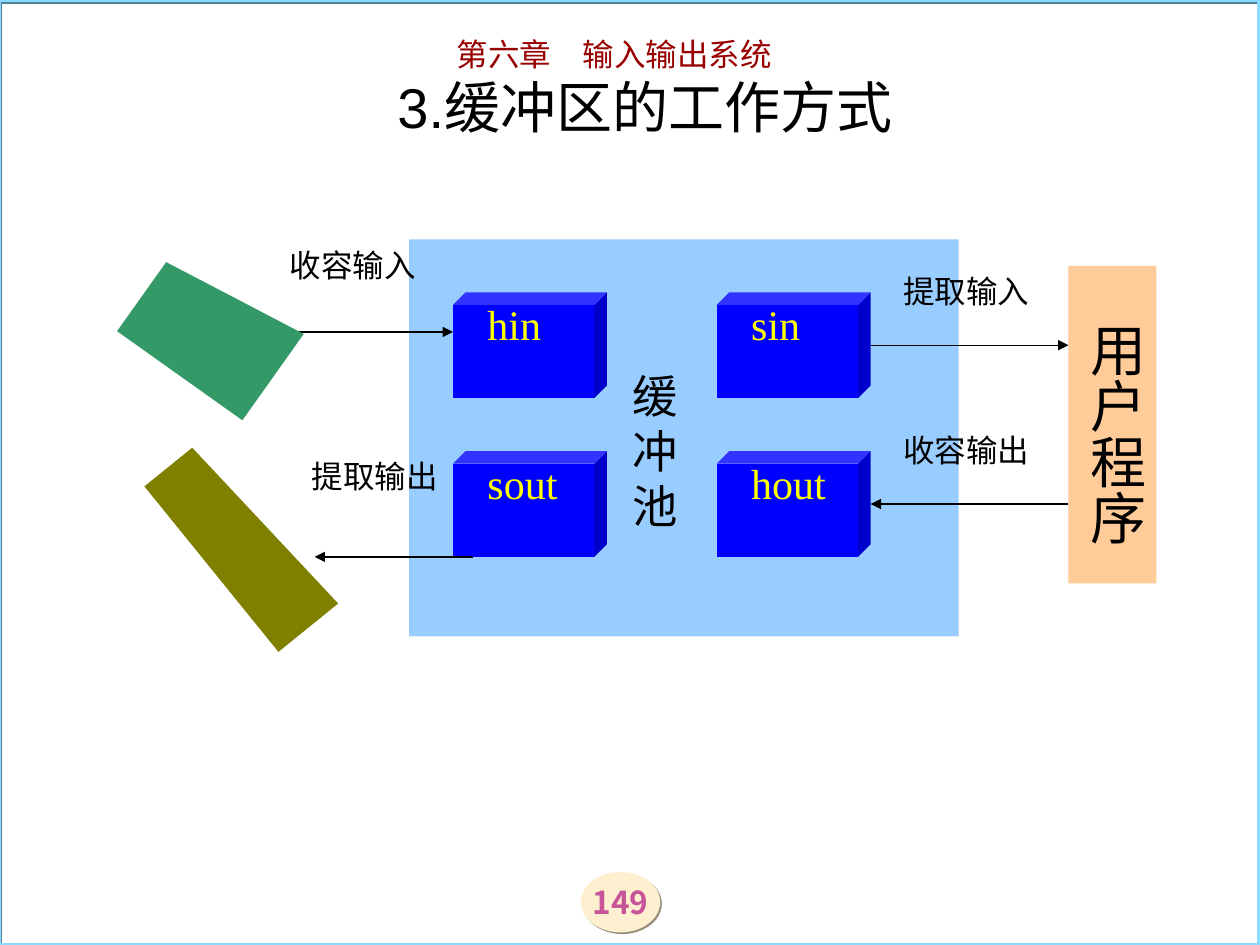
"""Build the slide on how the buffer pool passes input and output."""
from dataclasses import dataclass
from typing import Optional

from lxml.etree import SubElement
from pptx import Presentation
from pptx.dml.color import RGBColor
from pptx.enum.shapes import MSO_CONNECTOR, MSO_SHAPE
from pptx.enum.text import MSO_ANCHOR, PP_ALIGN
from pptx.oxml.ns import qn
from pptx.util import Inches, Pt

WIDTH, HEIGHT = 10, 7.5
LEFT, TOP = 2.2, 1.9
COLUMN, ROW = 6.28 / 36, 0.21
COLORS = {
    "black": "000000", "chapter": "990000", "pool": "99CCFF", "buffer": "0000FF",
    "buffer_name": "FFFF00", "program": "FFCC99", "input_device": "339966",
    "output_device": "808000", "frame": "8ADBFF", "frame_shadow": "538399",
    "badge": "FFEFD1", "badge_shadow": "998F7D", "page_number": "C75399",
}
CJK = "Noto Sans CJK SC"
SERIF = "Times New Roman"


@dataclass(frozen=True)
class Box:
    left: float
    top: float
    width: float
    height: float

    def lengths(self) -> list:
        return [Inches(n) for n in (self.left, self.top, self.width, self.height)]


@dataclass(frozen=True)
class Style:
    size: float
    color: str = "black"
    font: str = SERIF
    bold: bool = False
    align: PP_ALIGN = PP_ALIGN.JUSTIFY
    anchor: MSO_ANCHOR = MSO_ANCHOR.TOP
    insets: tuple = (0.1, 0.05, 0.1, 0.05)
    wrap: bool = True
    spacing: Optional[float] = None


@dataclass(frozen=True)
class Buffer:
    name: str
    column: float
    row: float


@dataclass(frozen=True)
class Label:
    words: str
    column: float
    row: float
    inset: float = 0.1


@dataclass(frozen=True)
class Flow:
    start: float
    end: float
    row: float


@dataclass(frozen=True)
class Device:
    place: Box
    angle: float
    color: str


def grid(column: float, row: float, columns: float, rows: float) -> Box:
    return Box(LEFT + column * COLUMN, TOP + row * ROW, columns * COLUMN, rows * ROW)


def percent(left: float, top: float, width: float, height: float) -> Box:
    return Box(left * WIDTH / 100, top * HEIGHT / 100,
               width * WIDTH / 100, height * HEIGHT / 100)


def rgb(color: str) -> RGBColor:
    return RGBColor.from_string(COLORS[color])


def write(shape, words: str, style: Style) -> None:
    frame = shape.text_frame
    frame.word_wrap = style.wrap
    frame.vertical_anchor = style.anchor
    frame.margin_left, frame.margin_top, frame.margin_right, frame.margin_bottom = (
        Inches(inset) for inset in style.insets)
    frame.text = words
    paragraph = frame.paragraphs[0]
    paragraph.alignment = style.align
    if style.spacing:
        paragraph.line_spacing = Pt(style.spacing)
    for run in paragraph.runs:
        run.font.size = Pt(style.size)
        run.font.bold = style.bold
        run.font.name = style.font
        run.font.color.rgb = rgb(style.color)
        east_asian = CJK if style.font in (SERIF, "Arial") else style.font
        SubElement(run._r.get_or_add_rPr(), qn("a:ea"), typeface=east_asian)


def add_words(slide, place: Box, words: str, style: Style) -> None:
    write(slide.shapes.add_textbox(*place.lengths()), words, style)


def add_block(slide, kind: MSO_SHAPE, place: Box, color: Optional[str]):
    block = slide.shapes.add_shape(kind, *place.lengths())
    block.shadow.inherit = False
    block.line.fill.background()
    if color:
        block.fill.solid()
        block.fill.fore_color.rgb = rgb(color)
    else:
        block.fill.background()
    return block


def add_shadow(block, color: str) -> None:
    effects = block._element.spPr.find(qn("a:effectLst"))
    shadow = SubElement(effects, qn("a:outerShdw"), dist=str(Pt(1.4)),
                        dir="2700000", algn="ctr", rotWithShape="0")
    SubElement(shadow, qn("a:srgbClr"), val=COLORS[color])


def add_flow(slide, flow: Flow) -> None:
    start, end, level = (Inches(n) for n in (
        LEFT + flow.start * COLUMN, LEFT + flow.end * COLUMN, TOP + flow.row * ROW))
    arrow = slide.shapes.add_connector(MSO_CONNECTOR.STRAIGHT, start, level, end, level)
    arrow.line.color.rgb = rgb("black")
    arrow.line.width = Pt(0.75)
    SubElement(arrow.line._get_or_add_ln(), qn("a:tailEnd"), type="triangle")
    SubElement(arrow._element.spPr, qn("a:effectLst"))


def add_buffer(slide, buffer: Buffer) -> None:
    cube = add_block(slide, MSO_SHAPE.CUBE, grid(buffer.column, buffer.row, 7, 4), "buffer")
    cube.adjustments[0] = 0.12
    add_words(slide, grid(buffer.column + 1, buffer.row, 5, 4), buffer.name,
              Style(24, "buffer_name"))


def add_page(slide) -> None:
    badge = add_block(slide, MSO_SHAPE.OVAL, percent(46.1, 92.27, 6.3, 6.4), "badge")
    add_shadow(badge, "badge_shadow")
    write(badge, "149", Style(18, "page_number", CJK, True, PP_ALIGN.CENTER,
                              MSO_ANCHOR.MIDDLE, (0, 0, 0, 0)))
    border = add_block(slide, MSO_SHAPE.RECTANGLE, percent(-0.1, 0, 100, 100), None)
    border.line.color.rgb = rgb("frame")
    border.line.width = Pt(2.25)
    add_shadow(border, "frame_shadow")
    add_words(slide, percent(20.8, 3.07, 55.9, 5.33), "第六章　输入输出系统",
              Style(18, "chapter", "Noto Sans CJK JP", align=PP_ALIGN.CENTER))
    add_words(slide, percent(30, 6.93, 42.4, 8.53), "3.缓冲区的工作方式",
              Style(32, font="Arial", align=PP_ALIGN.CENTER,
                    anchor=MSO_ANCHOR.MIDDLE, wrap=False))


def add_diagram(slide) -> None:
    add_block(slide, MSO_SHAPE.RECTANGLE, grid(6, 0, 25, 15), "pool")
    for buffer in (Buffer("hin", 8, 2), Buffer("sin", 20, 2),
                   Buffer("sout", 8, 8), Buffer("hout", 20, 8)):
        add_buffer(slide, buffer)
    program = add_block(slide, MSO_SHAPE.RECTANGLE, grid(36, 1, 4, 12), "program")
    write(program, "用户程序", Style(32, insets=(0.05, 0.45, 0.05, 0.1)))
    program.text_frame._txBody.bodyPr.set("vert", "eaVert")
    for flow in (Flow(27, 36, 4), Flow(36, 27, 10), Flow(0, 8, 3.5), Flow(8.9, 1.7, 12)):
        add_flow(slide, flow)
    for label in (Label("收容输入", 0, 0), Label("收容输出", 27, 7, 0.26),
                  Label("提取输入", 27, 1, 0.26), Label("提取输出", 1, 8)):
        add_words(slide, grid(label.column, label.row, 8, 3), label.words,
                  Style(18, insets=(label.inset, 0.05, 0.1, 0.05)))
    for device in (Device(percent(10.6, 29.6, 12.2, 11.2), 35.4, "input_device"),
                   Device(percent(10.7, 53.6, 16.9, 8.13), 51, "output_device")):
        block = add_block(slide, MSO_SHAPE.FLOWCHART_MANUAL_INPUT, device.place, device.color)
        block.rotation = device.angle
    add_words(slide, percent(49.2, 34.4, 6.1, 23.73), "缓冲池",
              Style(25.9, font=CJK, insets=(0.1, 0.34, 0.1, 0.05), spacing=31.4))


def main() -> None:
    deck = Presentation()
    deck.slide_width, deck.slide_height = Inches(WIDTH), Inches(HEIGHT)
    slide = deck.slides.add_slide(deck.slide_layouts[6])
    add_page(slide)
    add_diagram(slide)
    deck.save("out.pptx")


if __name__ == "__main__":
    main()
